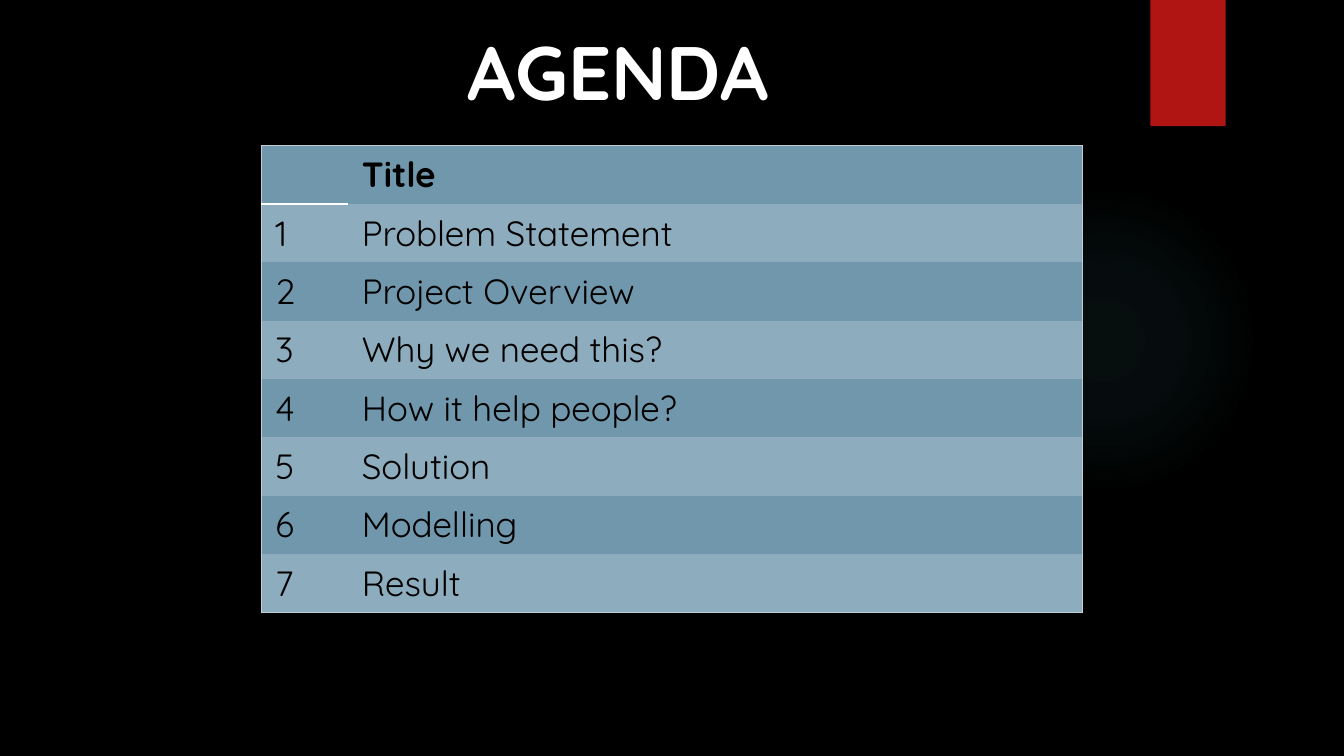
from lxml.etree import SubElement as Sub
from pptx import Presentation
from pptx.dml.color import RGBColor
from pptx.enum.shapes import MSO_SHAPE as Shape
from pptx.enum.text import MSO_ANCHOR as Anchor, MSO_AUTO_SIZE as Fit, PP_ALIGN as Align
from pptx.oxml import parse_xml
from pptx.oxml.ns import nsdecls, qn
from pptx.util import Cm, Pt

BLACK = RGBColor(0x00, 0x00, 0x00)
WHITE = RGBColor(0xFF, 0xFF, 0xFF)
RED = RGBColor(0xB0, 0x15, 0x13)
TEAL = RGBColor(0x50, 0xB9, 0xC1)
DARK = RGBColor(0x70, 0x97, 0xAC)
LIGHT = RGBColor(0x8D, 0xAC, 0xBD)
EDGE = RGBColor(0xC3, 0xCE, 0xD4)
PLAIN = "{2D5ABB26-0587-4C30-8999-92F81FD0307C}"  # table style without grid

TOPICS = ["Problem Statement", "Project Overview", "Why we need this?",
          "How it help people?", "Solution", "Modelling", "Result"]


class Deck:
    font = "Quicksand"

    def __init__(self):
        self.file = Presentation()
        self.file.slide_width, self.file.slide_height = Cm(33.87), Cm(19.05)
        self.slide = self.file.slides.add_slide(self.file.slide_layouts[5])
        back = self.slide.background.fill
        back.solid()
        back.fore_color.rgb = BLACK

    def text(self, para, words, size, color, bold=False):
        run = para.add_run()
        run.text = words
        font = run.font
        font.name, font.size, font.bold = self.font, Pt(size), bold
        font.color.rgb = color

    def title(self, words, left, top, width, height):
        box = self.slide.shapes.title
        box.left, box.top, box.width, box.height = map(Cm, (left, top, width, height))
        frame = box.text_frame
        frame.word_wrap, frame.auto_size = True, Fit.NONE
        frame.vertical_anchor = Anchor.TOP
        para = frame.paragraphs[0]
        para.alignment = Align.LEFT
        self.text(para, words, 54, WHITE, True)

    def shape(self, kind, color, *place):
        item = self.slide.shapes.add_shape(kind, *map(Cm, place))
        item.shadow.inherit = False
        item.line.fill.background()
        item.fill.solid()
        item.fill.fore_color.rgb = color
        return item

    def glow(self, color, left, top, size):
        """Add a disc that fades out from its centre."""
        disc = self.shape(Shape.OVAL, color, left, top, size, size)
        stops = "".join(
            f'<a:gs pos="{pos}000"><a:srgbClr val="{color}">'
            f'<a:alpha val="{alpha}000"/></a:srgbClr></a:gs>'
            for pos, alpha in ((0, 7), (36, 6), (69, 0)))
        fade = parse_xml(
            f'<a:gradFill {nsdecls("a")}><a:gsLst>{stops}</a:gsLst><a:path path="circle">'
            '<a:fillToRect l="50000" t="50000" r="50000" b="50000"/></a:path></a:gradFill>')
        solid = disc.element.spPr.find(qn("a:solidFill"))
        solid.getparent().replace(solid, fade)

    def edge(self, cell, side, color, width):
        props = cell._tc.get_or_add_tcPr()
        line = Sub(props, qn(f"a:ln{side}"), w=str(Pt(width)))
        Sub(Sub(line, qn("a:solidFill")), qn("a:srgbClr"), val=str(color))

    def table(self, rows, left, top, widths, height):
        frame = self.slide.shapes.add_table(
            len(rows), len(widths), Cm(left), Cm(top),
            Cm(sum(widths)), Cm(height * len(rows)))
        next(frame.element.iter(qn("a:tableStyleId"))).text = PLAIN
        grid = frame.table
        grid.first_row = grid.horz_banding = False
        for col, width in zip(grid.columns, widths):
            col.width = Cm(width)
        last = len(rows) - 1
        for r, row in enumerate(rows):
            grid.rows[r].height = Cm(height)
            for c, words in enumerate(row):
                cell = grid.cell(r, c)
                cell.margin_left = cell.margin_right = Cm(0.36)
                cell.margin_top = cell.margin_bottom = Cm(0.18)
                self.edge(cell, "R" if c else "L", EDGE, 0.75)
                if r == 0:
                    self.edge(cell, "T", EDGE, 0.75)
                    if c == 0:
                        self.edge(cell, "B", WHITE, 2.25)
                elif r == last:
                    self.edge(cell, "B", EDGE, 0.75)
                cell.fill.solid()
                cell.fill.fore_color.rgb = LIGHT if r % 2 else DARK
                para = cell.text_frame.paragraphs[0]
                para.alignment = Align.JUSTIFY if c else Align.LEFT
                if words:
                    self.text(para, words, 25, BLACK, r == 0)


def main():
    deck = Deck()
    deck.glow(TEAL, 23.9, 4.65, 7.82)
    deck.shape(Shape.RECTANGLE, RED, 28.99, 0, 1.9, 3.18)
    rows = [("", "Title")]
    rows += [(str(num), topic) for num, topic in enumerate(TOPICS, 1)]
    deck.table(rows, 6.58, 3.67, (2.18, 18.52), 1.47)
    deck.title("AGENDA", 11.53, 0.51, 8.76, 2.57)
    deck.file.save("out.pptx")


if __name__ == "__main__":
    main()
